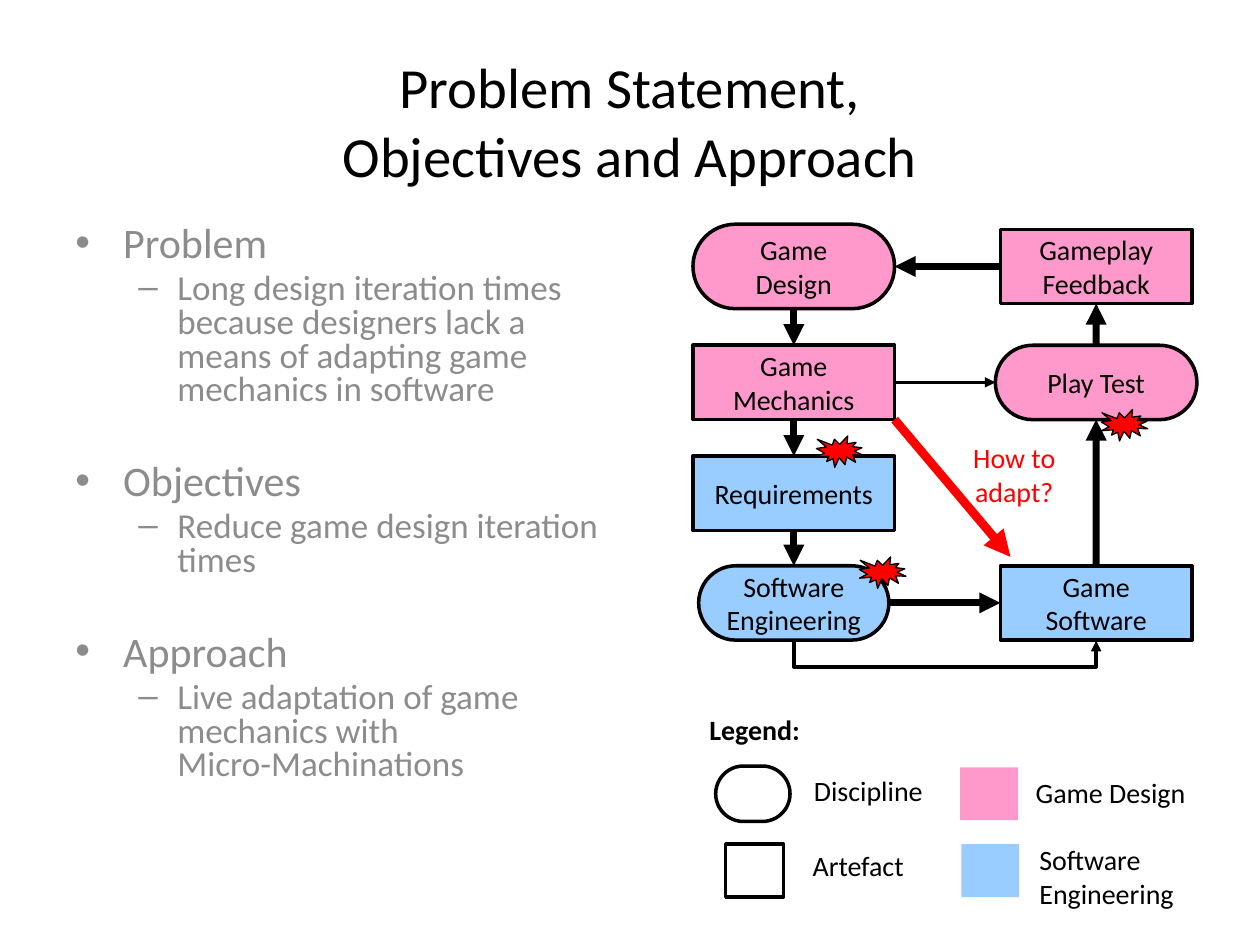
"""Build the slide on problem statement, objectives and approach."""
from lxml import etree
from pptx import Presentation
from pptx.dml.color import RGBColor
from pptx.enum.shapes import MSO_CONNECTOR, MSO_SHAPE
from pptx.enum.text import MSO_ANCHOR, PP_ALIGN
from pptx.oxml.ns import qn
from pptx.util import Inches, Pt

BLACK = RGBColor(0x00, 0x00, 0x00)
GRAY = RGBColor(0x8C, 0x8C, 0x8C)
PINK = RGBColor(0xFF, 0x99, 0xCC)
BLUE = RGBColor(0x99, 0xCC, 0xFF)
RED = RGBColor(0xFF, 0x00, 0x00)
RECT = MSO_SHAPE.RECTANGLE
PILL = MSO_SHAPE.ROUNDED_RECTANGLE
SEAL = MSO_SHAPE.EXPLOSION1
STRAIGHT, ELBOW = MSO_CONNECTOR.STRAIGHT, MSO_CONNECTOR.ELBOW
CENTER, LEFT = PP_ALIGN.CENTER, PP_ALIGN.LEFT
MIDDLE, TOP_ANCHOR = MSO_ANCHOR.MIDDLE, MSO_ANCHOR.TOP
TOP, LEFT_SIDE, BOTTOM, RIGHT_SIDE = range(4)
LEFT_COLUMN, RIGHT_COLUMN = 6.3, 8.7
BOX_HEIGHT = 0.59

OUTLINE = [
    ("Problem", "Long design iteration times because designers lack a "
                "means of adapting game mechanics in software"),
    ("Objectives", "Reduce game design iteration times"),
    ("Approach", "Live adaptation of game mechanics with\vMicro-Machinations"),
]


def write(frame, text, size=16, color=BLACK, bold=None, align=CENTER,
          anchor=MIDDLE, wrap=False):
    """Fill a text frame, one paragraph per line, in a single format."""
    frame.text = text
    frame.word_wrap = wrap
    frame.vertical_anchor = anchor
    for paragraph in frame.paragraphs:
        paragraph.alignment = align
        for run in paragraph.runs:
            run.font.name = "Calibri"
            run.font.size = Pt(size)
            run.font.color.rgb = color
            run.font.bold = bold


def add_label(slide, text, left, top, width, height, inset=0.1, **text_format):
    """Add a text box."""
    label = slide.shapes.add_textbox(
        Inches(left), Inches(top), Inches(width), Inches(height))
    frame = label.text_frame
    frame.margin_left = frame.margin_right = Inches(inset)
    write(frame, text, **text_format)
    return label


def add_figure(slide, kind, left, top, width, height, fill=None, weight=None):
    """Add a preset shape with optional fill and outline."""
    figure = slide.shapes.add_shape(
        kind, Inches(left), Inches(top), Inches(width), Inches(height))
    figure.shadow.inherit = False
    if kind == PILL:
        figure.adjustments[0] = 0.5
    if fill is None:
        figure.fill.background()
    else:
        figure.fill.solid()
        figure.fill.fore_color.rgb = fill
    if weight is None:
        figure.line.fill.background()
    else:
        figure.line.color.rgb = BLACK
        figure.line.width = Pt(weight)
    return figure


def add_node(slide, text, kind, fill, center, top, width, height=BOX_HEIGHT):
    """Add a flow node centred on its column."""
    node = add_figure(slide, kind, center - width / 2, top, width, height, fill, 2)
    write(node.text_frame, text)
    return node


def add_arrow(slide, start=(0, 0), end=(0, 0), kind=STRAIGHT, weight=4, color=BLACK):
    """Add a connector with a triangular head at its end."""
    arrow = slide.shapes.add_connector(kind, *map(Inches, start + end))
    arrow.line.color.rgb = color
    arrow.line.width = Pt(weight)
    properties = arrow.element.spPr
    etree.SubElement(properties.find(qn("a:ln")), qn("a:tailEnd"), type="triangle")
    etree.SubElement(properties, qn("a:effectLst"))
    return arrow


def link(slide, source, source_side, target, target_side, **arrow_format):
    """Join the sides of two nodes with an arrow."""
    arrow = add_arrow(slide, **arrow_format)
    arrow.begin_connect(source, source_side)
    arrow.end_connect(target, target_side)
    return arrow


def add_return_loop(slide, source, target, depth=0.22, thickness=0.01):
    """Lead an elbow arrow below two nodes from bottom to bottom."""
    loop = link(slide, source, BOTTOM, target, BOTTOM, kind=ELBOW, weight=2)
    span = RIGHT_COLUMN - LEFT_COLUMN
    middle = (LEFT_COLUMN + RIGHT_COLUMN) / 2
    loop.left, loop.top = Inches(middle - thickness / 2), Inches(5.08 - span / 2)
    loop.width, loop.height = Inches(thickness), Inches(span)
    transform = loop.element.spPr.find(qn("a:xfrm"))
    transform.attrib.pop("flipH", None)
    transform.set("rot", "5400000")
    guides = loop.element.spPr.find(qn("a:prstGeom")).find(qn("a:avLst"))
    etree.SubElement(guides, qn("a:gd"), name="adj1",
                     fmla=f"val {round(depth / thickness * 100000)}")


def format_bullet(paragraph, mark, margin, hang, space):
    """Give a paragraph its bullet, hanging indent and spacing."""
    paragraph.line_spacing = 0.8
    paragraph.space_before = Pt(space)
    properties = paragraph._p.get_or_add_pPr()
    properties.set("marL", str(Inches(margin)))
    properties.set("indent", str(-Inches(hang)))
    etree.SubElement(properties, qn("a:buFont"), typeface="Arial")
    etree.SubElement(properties, qn("a:buChar"), char=mark)


def add_outline(slide):
    """Add the bulleted topics with their details."""
    lines = [line for topic in OUTLINE for line in topic]
    outline = add_label(slide, "\n".join(lines), 0.5, 1.75, 4.54, 4.95, size=20,
                        color=GRAY, align=LEFT, anchor=TOP_ANCHOR, wrap=True)
    for index, paragraph in enumerate(outline.text_frame.paragraphs):
        if index % 2:
            paragraph.level = 1
            format_bullet(paragraph, "–", 0.81, 0.31, 4)
        else:
            format_bullet(paragraph, "•", 0.38, 0.38, 32 if index else 0)
            for run in paragraph.runs:
                run.font.size = Pt(24)


def add_flow(slide):
    """Add the development cycle with its arrows and trouble spots."""
    design = add_node(slide, "Game\nDesign", PILL, PINK, LEFT_COLUMN, 1.78, 1.6, 0.67)
    mechanics = add_node(slide, "Game\nMechanics", RECT, PINK, LEFT_COLUMN, 2.74, 1.6)
    requirements = add_node(slide, "Requirements", RECT, BLUE, LEFT_COLUMN, 3.62, 1.6)
    engineering = add_node(slide, "Software\nEngineering", PILL, BLUE,
                           LEFT_COLUMN, 4.49, 1.51)
    feedback = add_node(slide, "Gameplay\nFeedback", RECT, PINK, RIGHT_COLUMN, 1.82, 1.52)
    play_test = add_node(slide, "Play Test", PILL, PINK, RIGHT_COLUMN, 2.74, 1.6)
    software = add_node(slide, "Game\nSoftware", RECT, BLUE, RIGHT_COLUMN, 4.49, 1.52)

    for upper, lower in ((design, mechanics), (mechanics, requirements),
                         (requirements, engineering)):
        link(slide, upper, BOTTOM, lower, TOP)
    for lower, upper in ((software, play_test), (play_test, feedback)):
        link(slide, lower, TOP, upper, BOTTOM)
    link(slide, feedback, LEFT_SIDE, design, RIGHT_SIDE)
    link(slide, engineering, RIGHT_SIDE, software, LEFT_SIDE)
    link(slide, mechanics, RIGHT_SIDE, play_test, LEFT_SIDE, weight=2)
    add_return_loop(slide, software, engineering)

    add_arrow(slide, (7.1, 3.33), (8.02, 4.42), weight=5, color=RED)
    add_label(slide, "How to\nadapt?", 7.62, 3.45, 0.86, 0.64, color=RED,
              anchor=TOP_ANCHOR)
    for left, top in ((6.48, 3.46), (8.74, 3.25), (6.82, 4.42)):
        add_figure(slide, SEAL, left, top, 0.37, 0.25, RED, 0.75)


def add_legend(slide):
    """Add the key to shapes and colours."""
    add_figure(slide, PILL, 5.68, 6.08, 0.59, 0.44, weight=2)
    add_figure(slide, RECT, 5.76, 6.7, 0.46, 0.42, weight=2)
    add_figure(slide, RECT, 7.62, 6.09, 0.46, 0.42, PINK)
    add_figure(slide, RECT, 7.63, 6.7, 0.46, 0.42, BLUE)
    for text, left, top, width, bold in (
            ("Legend:", 5.55, 5.49, 2.18, True),
            ("Discipline", 6.38, 5.98, 1.04, None),
            ("Artefact", 6.37, 6.57, 1.04, None),
            ("Game Design", 8.14, 5.99, 1.43, None),
            ("Software\nEngineering", 8.17, 6.66, 1.33, None)):
        add_label(slide, text, left, top, width, BOX_HEIGHT, inset=0.08,
                  bold=bold, align=LEFT, wrap=True)


def main():
    """Build and save the slide."""
    deck = Presentation()
    deck.slide_width, deck.slide_height = Inches(10), Inches(7.5)
    slide = deck.slides.add_slide(deck.slide_layouts[6])
    add_label(slide, "Problem Statement,\vObjectives and Approach",
              0.5, 0.33, 9, 1.25, size=32.4, wrap=True)
    add_outline(slide)
    add_flow(slide)
    add_legend(slide)
    deck.save("out.pptx")


if __name__ == "__main__":
    main()
